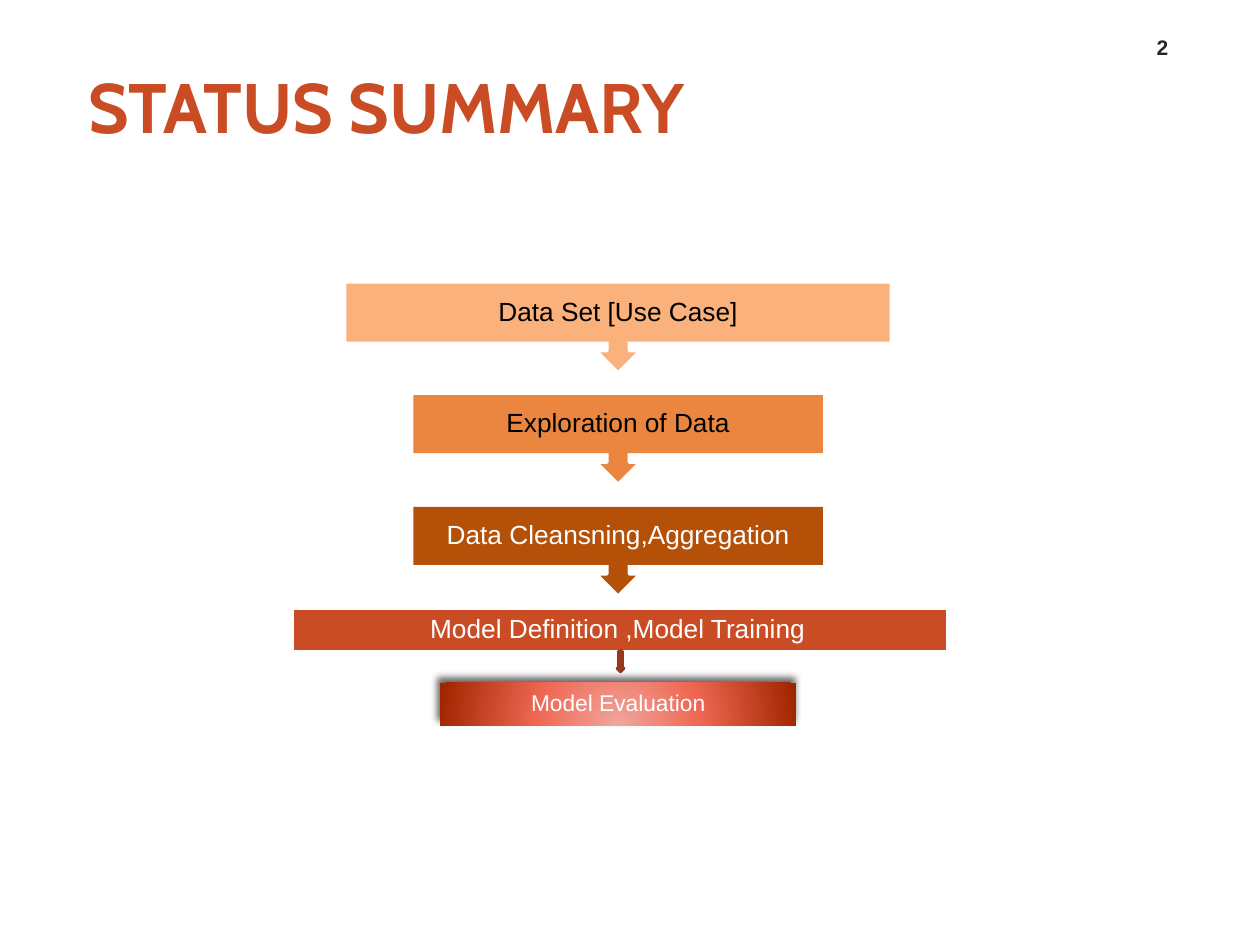
from lxml import etree
from pptx import Presentation
from pptx.dml.color import RGBColor
from pptx.enum.shapes import MSO_SHAPE
from pptx.enum.text import MSO_ANCHOR, MSO_AUTO_SIZE, PP_ALIGN
from pptx.oxml import parse_xml
from pptx.oxml.ns import qn
from pptx.util import Pt

RECTANGLE = MSO_SHAPE.RECTANGLE
CALLOUT = MSO_SHAPE.UP_ARROW_CALLOUT
DOWN_ARROW = MSO_SHAPE.DOWN_ARROW
MIDDLE, BOTTOM = MSO_ANCHOR.MIDDLE, MSO_ANCHOR.BOTTOM
LEFT, CENTER = PP_ALIGN.LEFT, PP_ALIGN.CENTER

COLORS = {
    "rust": "C94C25", "dark rust": "95381B", "peach": "FAB17B",
    "orange": "EA8640", "brown": "B45007", "white": "FFFFFF",
    "black": "000000", "gray": "262626",
    "glow": "F0A69D", "coral": "EF6752", "ember": "A02600",
}
DRAWING = "http://schemas.openxmlformats.org/drawingml/2006/main"


def add_block(kind, left, top, width, height, fill, line=None):
    block = page.shapes.add_shape(kind, Pt(left), Pt(top), Pt(width), Pt(height))
    block.shadow.inherit = False
    block.fill.solid()
    block.fill.fore_color.rgb = RGBColor.from_string(COLORS[fill])
    if line:
        block.line.color.rgb = RGBColor.from_string(COLORS[line])
        block.line.width = Pt(2)
    else:
        block.line.fill.background()
    return block


def write(box, text, size, color, font="Arial", bold=False, align=CENTER,
          anchor=MIDDLE, margins=(0, 0, 0, 0), spacing=0.9):
    frame = box.text_frame
    left, top, right, bottom = margins
    frame_format = {
        "word_wrap": True, "auto_size": MSO_AUTO_SIZE.NONE, "vertical_anchor": anchor,
        "margin_left": Pt(left), "margin_top": Pt(top),
        "margin_right": Pt(right), "margin_bottom": Pt(bottom),
    }
    for name, value in frame_format.items():
        setattr(frame, name, value)
    para = frame.paragraphs[0]
    para.alignment = align
    para.line_spacing = spacing
    span = para.add_run()
    span.text = text
    for name, value in {"name": font, "size": Pt(size), "bold": bold}.items():
        setattr(span.font, name, value)
    span.font.color.rgb = RGBColor.from_string(COLORS[color])
    return para


deck = Presentation()
deck.slide_width, deck.slide_height = Pt(720), Pt(540)
page = deck.slides.add_slide(deck.slide_layouts[5])

# Title and page number
title = page.shapes.title
title.left, title.top, title.width, title.height = Pt(36), Pt(28.8), Pt(383.8), Pt(62.6)
heading = write(title, "STATUS SUMMARY", 40, "rust", font="Cabin", bold=True,
                align=LEFT, margins=(0, 3.6, 0, 3.6), spacing=1.0)
heading._p.get_or_add_pPr().set("marL", str(Pt(14.4)))

number = page.shapes.add_textbox(Pt(644.4), Pt(13.7), Pt(39.6), Pt(23.8))
write(number, "2", 12, "gray", bold=True, anchor=BOTTOM,
      margins=(7.2, 3.6, 7.2, 3.6), spacing=1.0)

# Steps with an arrow to the next one
MIDLINE = 353.2
FIRST_TOP, STEP_PITCH = 162, 63.8
steps = [
    ("Data Set [Use Case]", 310.4, "peach", "black"),
    ("Exploration of Data", 234, "orange", "black"),
    ("Data Cleansning,Aggregation", 234, "brown", "white"),
]
for index, (text, width, fill, ink) in enumerate(steps):
    left, top = MIDLINE - width / 2, FIRST_TOP + index * STEP_PITCH
    callout = add_block(CALLOUT, left, top, width, 51.1, fill, "white")
    callout.rotation = 180
    label = add_block(RECTANGLE, left, top, width, 33.2, fill)
    write(label, text, 15, ink, margins=(8.4, 8.4, 8.4, 8.4))

# Model definition bar
bar = add_block(RECTANGLE, 167, 347.8, 374.4, 24.5, "rust", "white")
write(bar, "Model Definition ,Model Training", 15, "white", margins=(0, 0, 2.4, 0))

# Model evaluation with a radial gradient and a shadow
evaluation = add_block(RECTANGLE, MIDLINE - 101.9, 390.2, 203.8, 24.5, "coral")
write(evaluation, "Model Evaluation", 13, "white", margins=(7.2, 7.2, 7.2, 7.2))
stops = "".join(
    f'<a:gs pos="{place * 1000}"><a:srgbClr val="{COLORS[name]}"/></a:gs>'
    for place, name in [(0, "glow"), (46, "coral"), (100, "ember")])
gradient = parse_xml(
    f'<a:gradFill xmlns:a="{DRAWING}" rotWithShape="1"><a:gsLst>{stops}</a:gsLst>'
    '<a:path path="circle"><a:fillToRect l="110000" t="250000" r="110000" b="40000"/>'
    '</a:path></a:gradFill>')
properties = evaluation._element.spPr
properties.replace(properties.find(qn("a:solidFill")), gradient)
shadow = etree.SubElement(properties.find(qn("a:effectLst")), qn("a:outerShdw"),
                          blurRad=str(Pt(4)), dist=str(Pt(3)), dir=str(245 * 60000),
                          rotWithShape="0")
shade = etree.SubElement(shadow, qn("a:srgbClr"), val=COLORS["black"])
etree.SubElement(shade, qn("a:alpha"), val="60000")

# Arrow from the bar to the evaluation
add_block(DOWN_ARROW, 352.8, 372.2, 3.6, 11.5, "rust", "dark rust")

deck.save("out.pptx")
